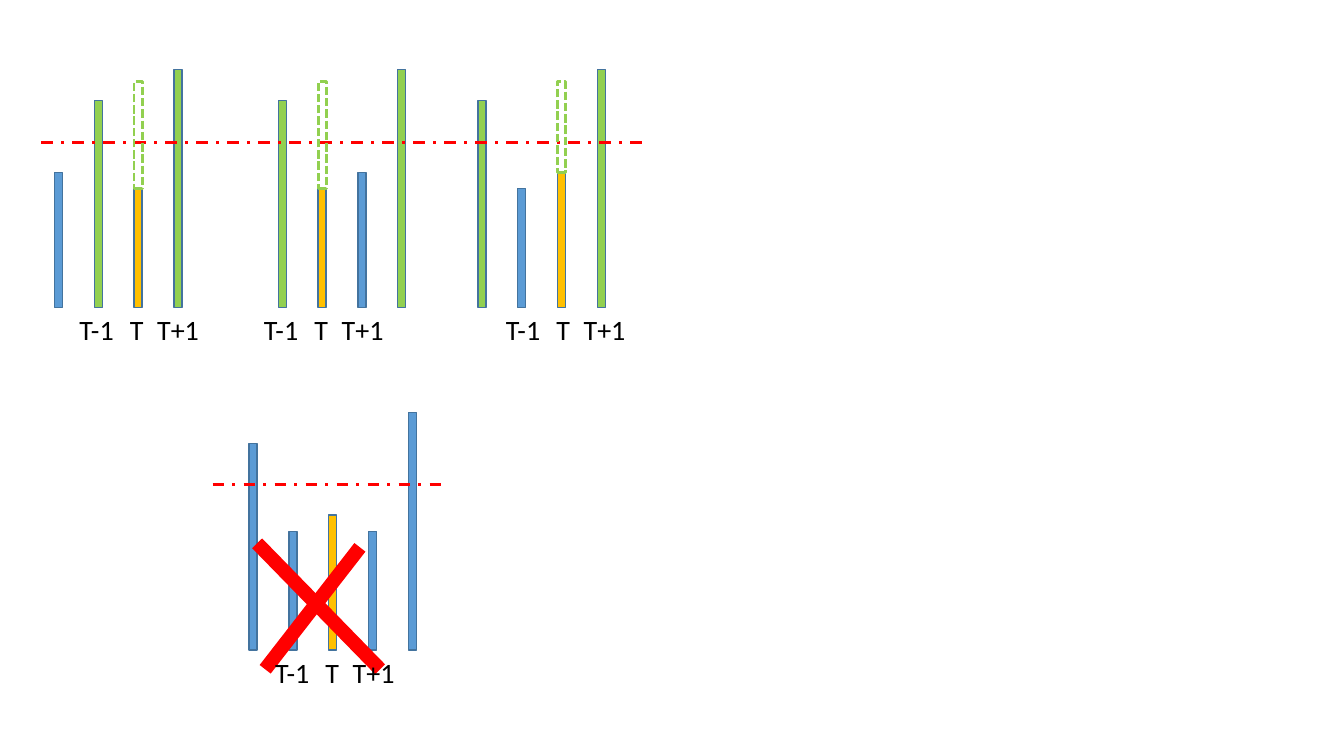
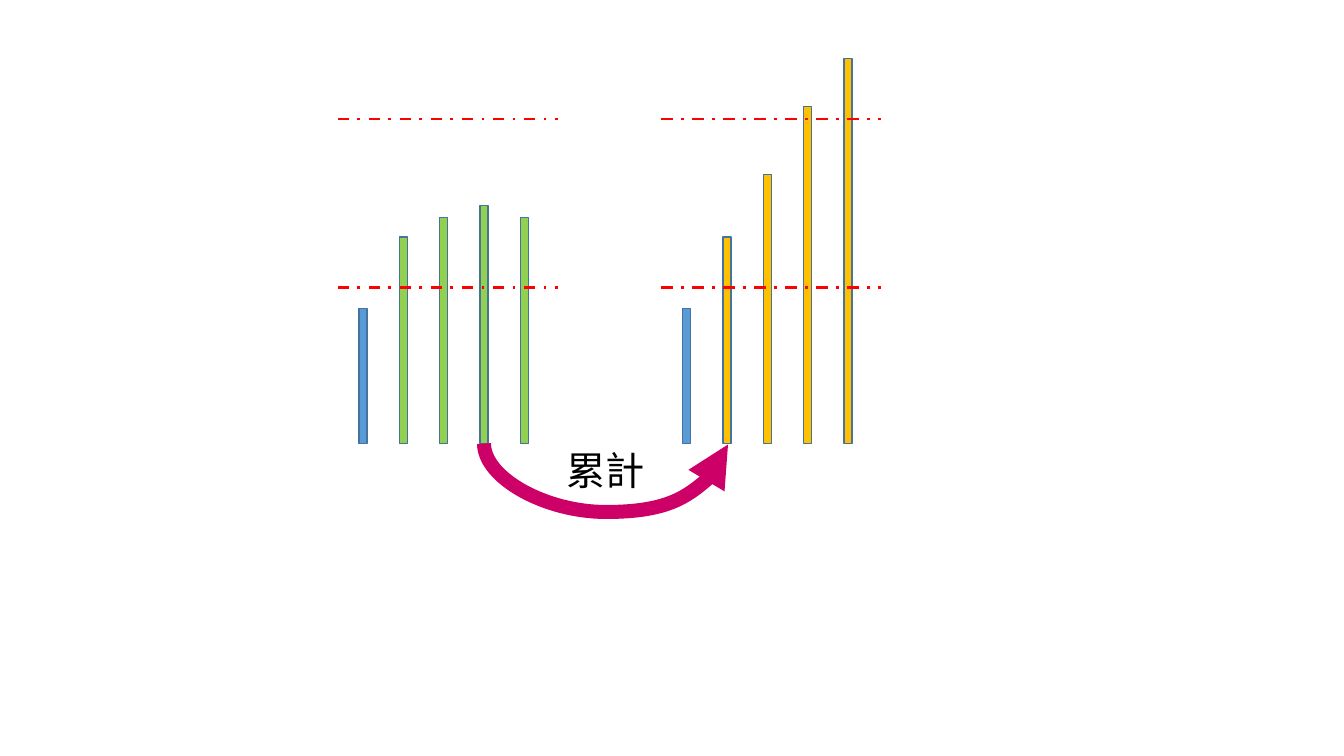
from lxml import etree
from pptx import Presentation
from pptx.dml.color import RGBColor
from pptx.enum.dml import MSO_LINE
from pptx.enum.shapes import MSO_CONNECTOR as LINK, MSO_SHAPE
from pptx.enum.text import MSO_AUTO_SIZE
from pptx.oxml.ns import qn
from pptx.util import Inches, Pt

BLUE, GREEN, ORANGE = "5B9BD5", "92D050", "FFC000"
OUTLINE, RED, MAGENTA, BLACK = "43739E", "FF0000", "CC0066", "000000"
BAR_WIDTH = 0.08
STEP = 1.58 / 4


def color(value):
    """Turn a hex string into a colour."""
    return RGBColor.from_string(value)


def style_line(line, hex_color, width, dash=None):
    """Set the colour, width and dash of an outline."""
    line.color.rgb = color(hex_color)
    line.width = Pt(width)
    if dash:
        line.dash_style = dash


def add_bar(shapes, left, base, height, fill):
    """Draw one bar standing on a base line, dashed when it has no fill."""
    bar = shapes.add_shape(MSO_SHAPE.RECTANGLE, Inches(left), Inches(base - height),
                           Inches(BAR_WIDTH), Inches(height))
    bar.shadow.inherit = False
    if fill:
        bar.fill.solid()
        bar.fill.fore_color.rgb = color(fill)
        style_line(bar.line, OUTLINE, 1)
    else:
        bar.fill.background()
        style_line(bar.line, GREEN, 2, MSO_LINE.SQUARE_DOT)


def add_bars(shapes, left, base, bars, step=STEP):
    """Draw evenly spaced bars from (height, fill) pairs."""
    for index, (height, fill) in enumerate(bars):
        add_bar(shapes, left + index * step, base, height, fill)


def add_line(shapes, start, end, hex_color=RED, width=2, dash=None, kind=LINK.STRAIGHT):
    """Draw a connector without a shadow."""
    line = shapes.add_connector(kind, *map(Inches, (*start, *end)))
    style_line(line.line, hex_color, width, dash)
    etree.SubElement(line._element.spPr, qn("a:effectLst"))
    return line


def add_threshold(shapes, left, right, y):
    """Draw a horizontal dash-dot threshold."""
    add_line(shapes, (left, y), (right, y), dash=MSO_LINE.DASH_DOT)


def add_sagging_arrow(shapes, start, end, depth):
    """Draw a curved arrow that sags below two nearly level points."""
    arrow = add_line(shapes, start, end, MAGENTA, 10, kind=LINK.CURVE)
    drop, span = end[1] - start[1], end[0] - start[0]
    arrow.left = Inches((start[0] + end[0] - drop) / 2)
    arrow.top = Inches((start[1] + end[1] - span) / 2)
    arrow.width, arrow.height = Inches(drop), Inches(span)
    properties = arrow._element.spPr
    frame = properties.find(qn("a:xfrm"))
    frame.set("rot", str(270 * 60000))
    frame.set("flipH", "1")
    adjustments = properties.find(qn("a:prstGeom")).find(qn("a:avLst"))
    etree.SubElement(adjustments, qn("a:gd"), name="adj1",
                     fmla=f"val {round(depth / drop * 100000)}")
    etree.SubElement(properties.find(qn("a:ln")), qn("a:tailEnd"), type="triangle")


def add_text(shapes, text, left, top, width, height, size=20, font="Calibri"):
    """Place one unwrapped line of text."""
    box = shapes.add_textbox(*map(Inches, (left, top, width, height)))
    frame = box.text_frame
    frame.word_wrap = False
    frame.auto_size = MSO_AUTO_SIZE.SHAPE_TO_FIT_TEXT
    run = frame.paragraphs[0].add_run()
    run.text = text
    run.font.size = Pt(size)
    run.font.name = font
    run.font.color.rgb = color(BLACK)
    etree.SubElement(run._r.get_or_add_rPr(), qn("a:ea"), typeface=font)


def add_time_labels(shapes, left, top):
    """Label three neighbouring bars around time T."""
    for text, offset, width in (("T", 0, 0.34), ("T+1", 0.27, 0.62), ("T-1", -0.5, 0.57)):
        add_text(shapes, text, left + offset, top, width, 0.44)


def add_group(deck):
    """Add a blank slide and return it with the shapes of a new group."""
    slide = deck.slides.add_slide(deck.slide_layouts[6])
    return slide, slide.shapes.add_group_shape().shapes


def build_gap_slide(deck):
    """Show which single gaps are filled and which are rejected."""
    slide, filled = add_group(deck)
    base = 3.05
    low, short, medium, tall = 1.18, 1.34, 2.05, 2.36
    cases = (
        (0.54, 2, 1.19, ((short, BLUE), (medium, GREEN), (low, ORANGE), (tall, GREEN))),
        (2.76, 1, 3.02, ((medium, GREEN), (low, ORANGE), (short, BLUE), (tall, GREEN))),
        (4.74, 2, 5.42, ((medium, GREEN), (low, BLUE), (short, ORANGE), (tall, GREEN))),
    )
    for left, _, _, bars in cases:
        add_bars(filled, left, base, bars)
    add_threshold(filled, 0.41, 6.42, 1.41)
    for left, gap, label_left, bars in cases:
        gap_top = base - bars[gap][0]
        add_bar(filled, left + gap * STEP, gap_top, gap_top - 0.81, None)
        add_time_labels(filled, label_left, base)

    rejected = slide.shapes.add_group_shape().shapes
    base = 6.45
    add_bars(rejected, 2.47, base, ((medium, BLUE), (low, BLUE), (short, ORANGE),
                                    (low, BLUE), (tall, BLUE)))
    add_threshold(rejected, 2.11, 4.37, 4.81)
    add_line(rejected, (2.55, 5.39), (3.77, 6.64), width=10)
    add_line(rejected, (2.63, 6.64), (3.57, 5.43), width=10)
    add_time_labels(rejected, 3.13, base)


def build_total_slide(deck):
    """Show single values beside their running total."""
    _, totals = add_group(deck)
    base = 4.4
    panels = (
        (3.56, GREEN, (2.05, 2.24, 2.36, 2.24)),
        (6.77, ORANGE, (2.05, 2.67, 3.34, 3.82)),
    )
    for left, fill, heights in panels:
        bars = [(1.34, BLUE)] + [(height, fill) for height in heights]
        add_bars(totals, left, base, bars, step=0.4)
        for y in (1.18, 2.85):
            add_threshold(totals, left - 0.21, left + 1.97, y)
    add_sagging_arrow(totals, (4.8, base), (7.22, base + 0.01), 0.69)
    add_text(totals, "累計", 5.52, 4.38, 0.99, 0.57, size=28, font="Noto Sans CJK TC")


def main():
    """Build and save the deck."""
    deck = Presentation()
    deck.slide_width, deck.slide_height = Inches(13.33), Inches(7.5)
    build_gap_slide(deck)
    build_total_slide(deck)
    deck.save("out.pptx")


if __name__ == "__main__":
    main()
